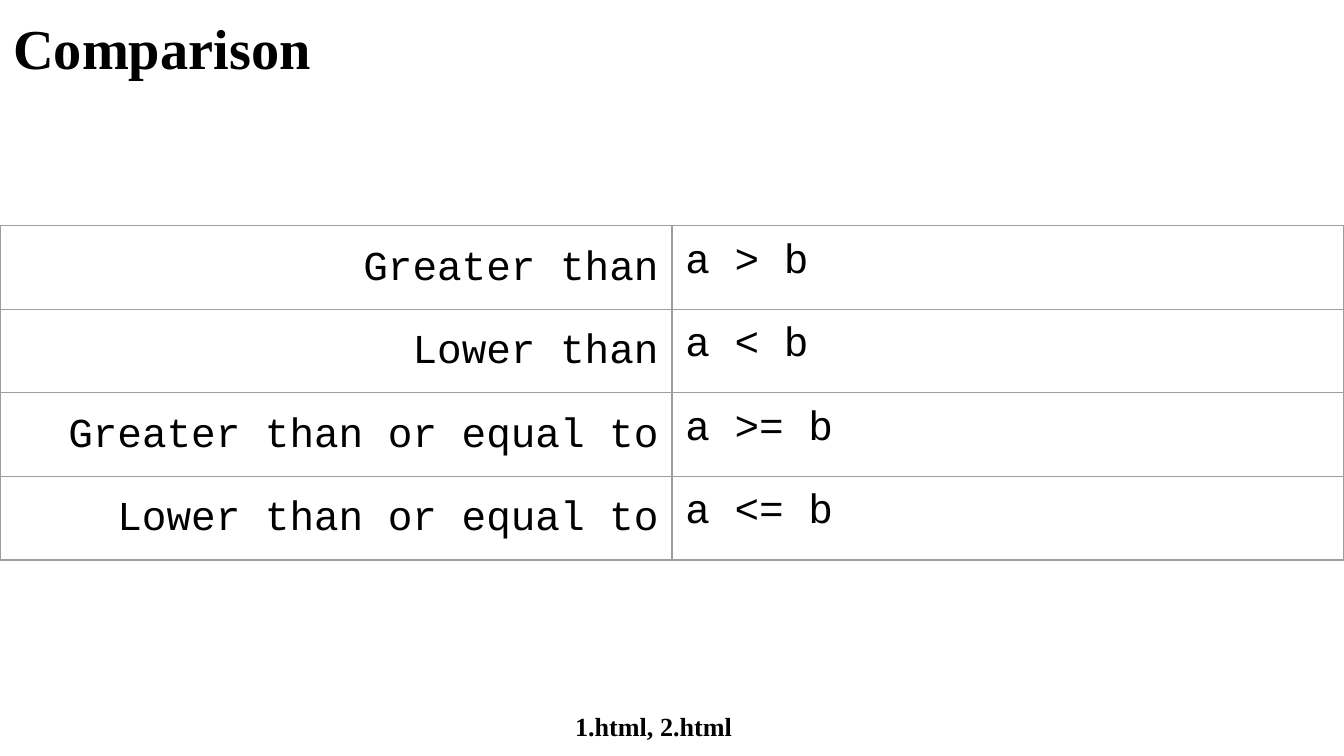
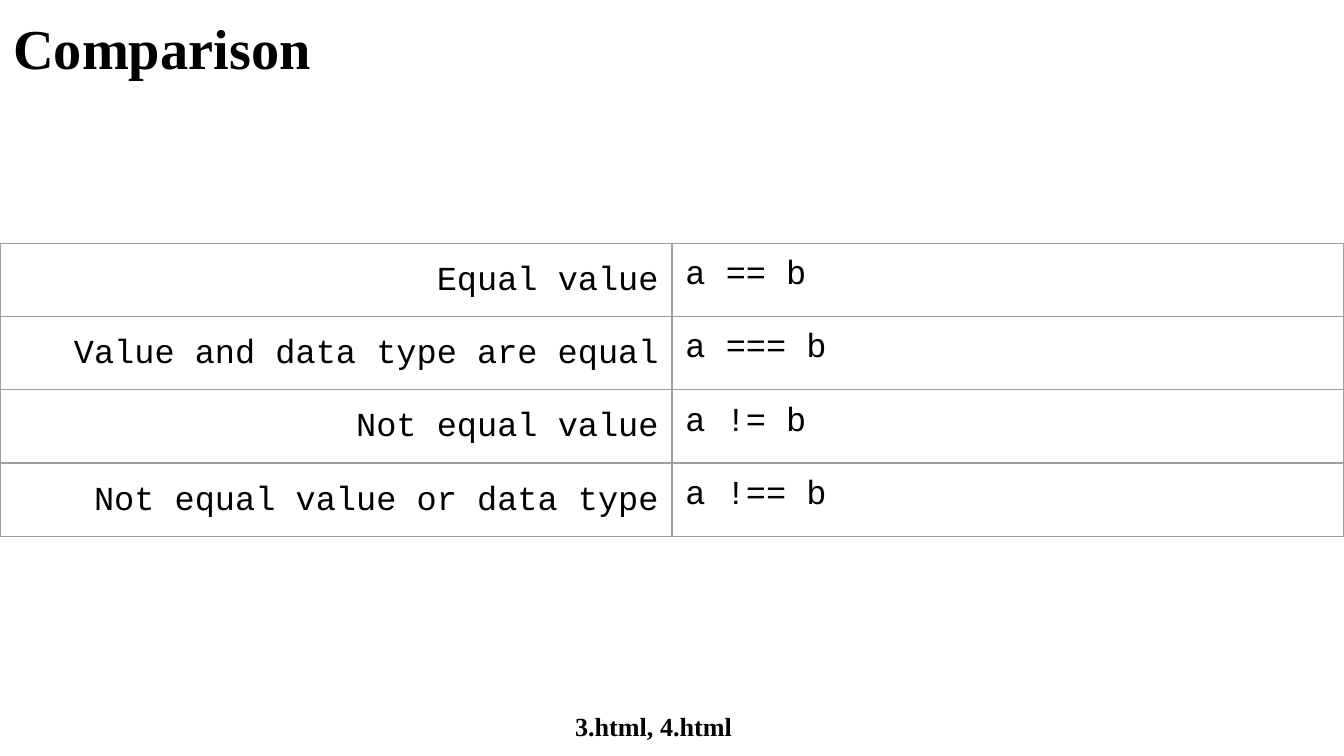
from lxml import etree
from pptx import Presentation
from pptx.dml.color import RGBColor
from pptx.enum.text import MSO_ANCHOR, MSO_AUTO_SIZE, PP_ALIGN
from pptx.oxml.ns import qn
from pptx.util import Inches, Pt

CENTER, RIGHT = PP_ALIGN.CENTER, PP_ALIGN.RIGHT
TOP = MSO_ANCHOR.TOP
GROW = MSO_AUTO_SIZE.SHAPE_TO_FIT_TEXT

W = Inches(10)
H = W * 9 // 16
PAD = Inches(0.1)
ROW_H = Inches(0.42)
FOOTER_H = Inches(0.41)
FRAME = Inches(3.28)
BLACK, GREY = "000000", "9E9E9E"
SERIF, MONO = "Times New Roman", "Courier New"

# Table top, code size, rows and footer of each slide
SLIDES = [
    (1.68, 22, [("Greater than", "a > b"),
                ("Lower than", "a < b"),
                ("Greater than or equal to", "a >= b"),
                ("Lower than or equal to", "a <= b")], "1.html, 2.html"),
    (1.81, 18, [("Equal value", "a == b"),
                ("Value and data type are equal", "a === b"),
                ("Not equal value", "a != b"),
                ("Not equal value or data type", "a !== b")], "3.html, 4.html"),
]


def rgb(value):
    return RGBColor.from_string(value)


def write(tf, text, size, font=SERIF, bold=False, color=BLACK,
          align=None, spacing=None, after=None):
    p = tf.paragraphs[0]
    p.alignment, p.line_spacing = align, spacing
    p.space_after = None if after is None else Pt(after)
    r = p.add_run()
    r.text = text
    r.font.size, r.font.name, r.font.bold = Pt(size), font, bold
    r.font.color.rgb = rgb(color)
    # East Asian and complex scripts share the Latin typeface
    for script in ("ea", "cs"):
        etree.SubElement(r.font._element, qn("a:" + script), typeface=font)
    # The paragraph end keeps the size of its run
    end = etree.SubElement(p._p, qn("a:endParaRPr"), sz=str(int(size * 100)))
    for script in ("latin", "ea", "cs"):
        etree.SubElement(end, qn("a:" + script), typeface=font)


prs = Presentation()
prs.slide_width, prs.slide_height = W, H
blank = prs.slide_layouts[6]

for table_top, code_size, rows, files in SLIDES:
    slide = prs.slides.add_slide(blank)

    # Title and footer
    title = slide.shapes.add_textbox(0, 0, W, Inches(0.63)).text_frame
    footer = slide.shapes.add_textbox(0, H - FOOTER_H, W, FOOTER_H).text_frame
    for tf in (title, footer):
        tf.margin_left = tf.margin_right = tf.margin_top = tf.margin_bottom = PAD
        tf.vertical_anchor = TOP
        tf.word_wrap = True
    footer.margin_right = Inches(0.37)  # footer sits a little left of centre
    write(title, "Comparison", 30.2, bold=True)
    write(footer, files, 14, bold=True, align=CENTER, spacing=0.89)
    footer.auto_size = GROW

    # Operator table: description on the left, expression on the right
    frame = slide.shapes.add_table(len(rows), 2, 0, Inches(table_top),
                                   W, ROW_H * len(rows))
    table = frame.table
    table.first_row = table.horz_banding = False
    for i, (description, expression) in enumerate(rows):
        left, right = table.cell(i, 0), table.cell(i, 1)
        write(left.text_frame, description, code_size, MONO,
              align=RIGHT, spacing=1.15, after=12)
        write(right.text_frame, expression, code_size, MONO)
        for cell in (left, right):
            cell.margin_left = cell.margin_right = PAD
            cell.margin_top = cell.margin_bottom = PAD
            cell.vertical_anchor = TOP
            tc_pr = cell._tc.get_or_add_tcPr()
            for side in ("lnL", "lnR", "lnT", "lnB"):
                ln = etree.SubElement(tc_pr, qn("a:" + side), w=str(Pt(0.75)))
                fill = etree.SubElement(ln, qn("a:solidFill"))
                etree.SubElement(fill, qn("a:srgbClr"), val=GREY)
            cell.fill.background()
    frame.width = frame.height = FRAME  # columns and rows set the drawn size

prs.save("out.pptx")
